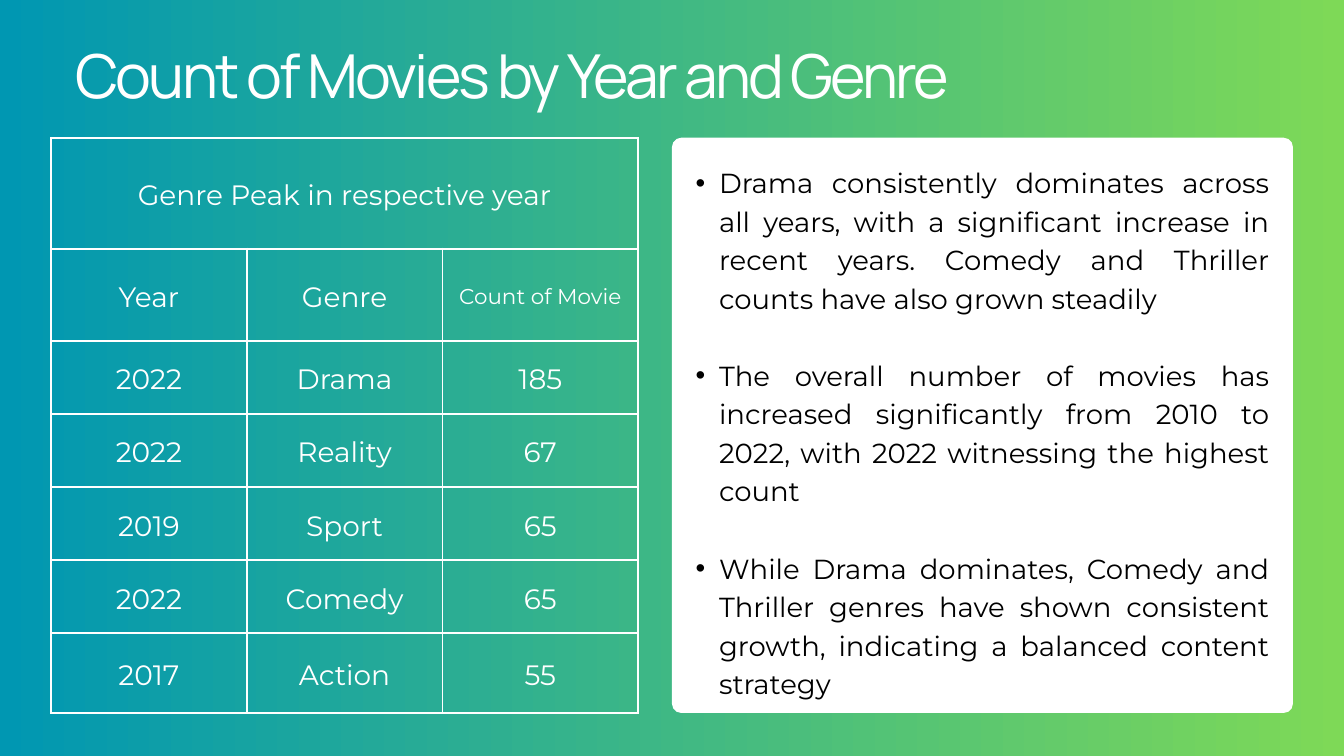
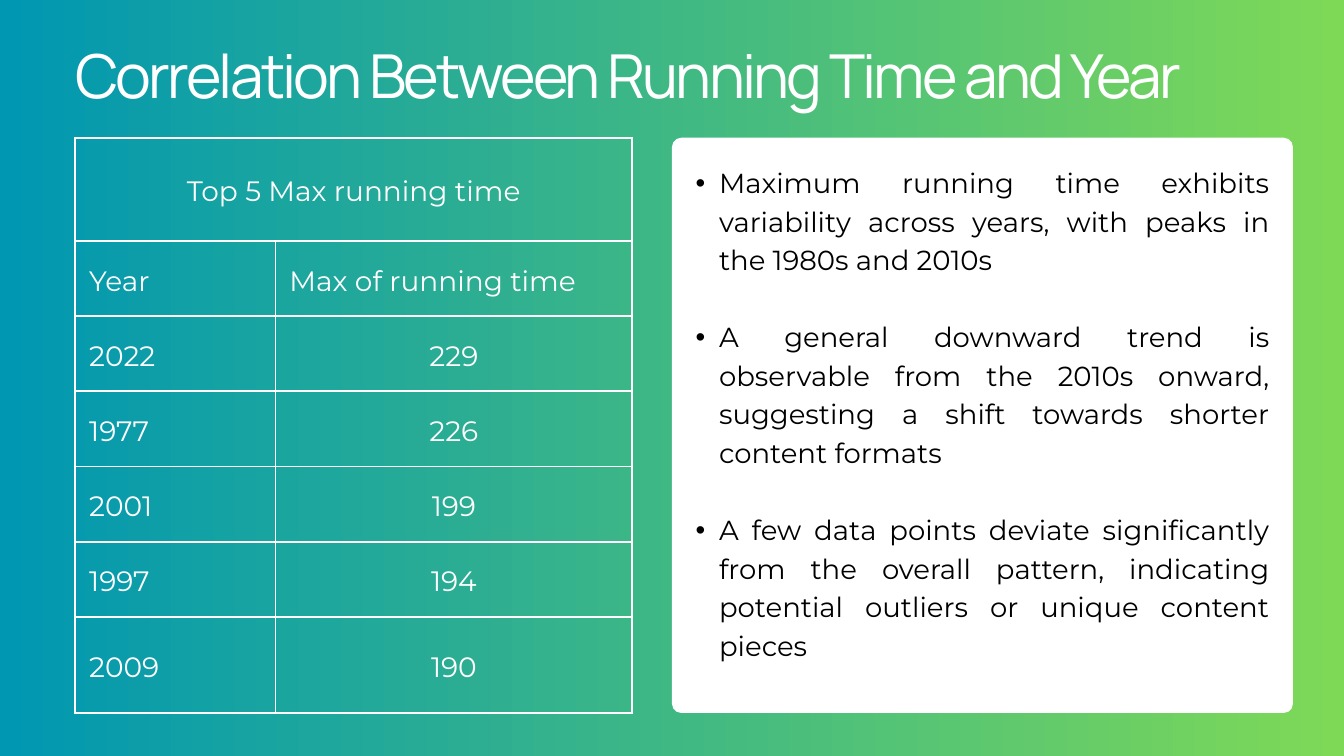
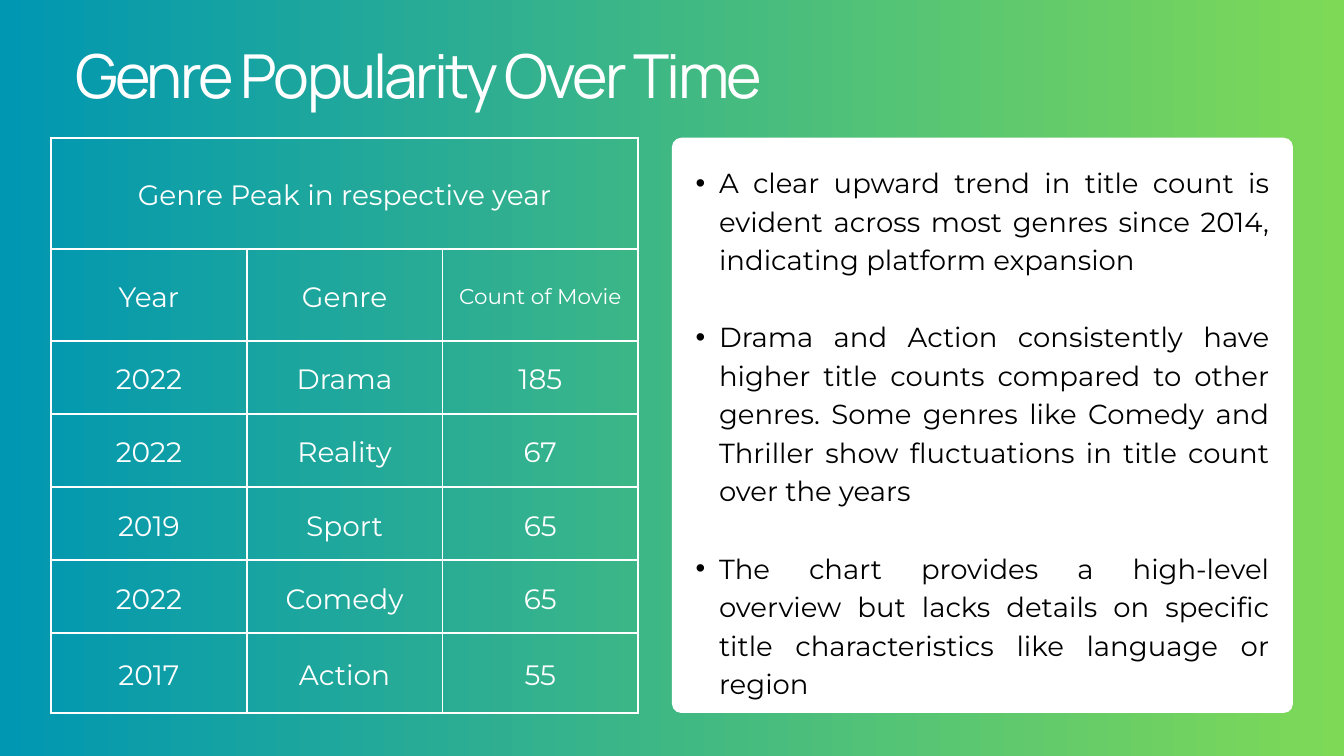
import pptx
import pptx.dml.color
import pptx.enum.shapes
import pptx.enum.text
import pptx.oxml
import pptx.util
from lxml import etree

Pt = pptx.util.Pt
ALIGN = pptx.enum.text.PP_ALIGN
ANCHOR = pptx.enum.text.MSO_ANCHOR

COLORS = {"blue": "0097B2", "green": "7ED957", "white": "FFFFFF", "black": "000000"}
HEAD_FONT, BODY_FONT = "Manrope", "Montserrat"
TOP, HEIGHT = 147.6, 616.3  # shared by the panel and the tables


def rgb(name):
    return pptx.dml.color.RGBColor.from_string(COLORS[name])


class Deck:
    """Holds the style and the current slide."""

    def __init__(self):
        self.prs = pptx.Presentation()
        self.prs.slide_width, self.prs.slide_height = Pt(1440), Pt(810)
        fill = self.prs.slide_master.background.fill
        fill.gradient()
        fill.gradient_angle = 0
        for stop, name in zip(fill.gradient_stops, ("blue", "green")):
            stop.color.rgb = rgb(name)

    def new_slide(self):
        self.s = self.prs.slides.add_slide(self.prs.slide_layouts[1])

    def format(self, p, size, color, font=BODY_FONT, align=ALIGN.LEFT, leading=1.4):
        p.alignment = align
        p.line_spacing = Pt(round(size * leading, 1))
        p.space_before = Pt(0)
        for r in p.runs:
            r.font.size, r.font.name, r.font.bold = Pt(size), font, False
            r.font.color.rgb = rgb(color)

    def place(self, sp, left, top, width, height):
        sp.left, sp.top, sp.width, sp.height = Pt(left), Pt(top), Pt(width), Pt(height)
        tf = sp.text_frame
        tf.margin_left = tf.margin_right = tf.margin_top = tf.margin_bottom = 0
        tf.word_wrap = True
        tf.auto_size = pptx.enum.text.MSO_AUTO_SIZE.NONE
        tf.vertical_anchor = ANCHOR.TOP
        return tf

    def title(self, text, width=1278):
        tf = self.place(self.s.shapes.title, 80.6, 60.5, width, 63.4)
        tf.text = text
        p = tf.paragraphs[0]
        self.format(p, 64.9, "white", HEAD_FONT, leading=0.9)
        p.runs[0].font._element.set("spc", "-300")

    def panel(self):
        sp = self.s.shapes.add_shape(
            pptx.enum.shapes.MSO_SHAPE.ROUNDED_RECTANGLE,
            Pt(720), Pt(TOP), Pt(665.3), Pt(HEIGHT))
        sp.adjustments[0] = 0.016
        sp.shadow.inherit = False
        sp.fill.solid()
        sp.fill.fore_color.rgb = rgb("white")
        sp.line.fill.background()
        self.s.shapes._spTree.insert(2, sp._element)  # behind the list

    def bullets(self, items, height=576):
        tf = self.place(self.s.placeholders[1], 720, 172, 640, height)
        tf.text = "\n".join(items)
        for p in tf.paragraphs:
            self.format(p, 29.5, "black", align=ALIGN.JUSTIFY)
            p.space_after = p.line_spacing
            pPr = p._p.get_or_add_pPr()
            pPr.set("marL", str(Pt(50.4)))
            pPr.set("indent", str(Pt(-25.2)))
            etree.SubElement(pPr, pptx.oxml.ns.qn("a:buChar")).set("char", "•")

    def cell_style(self, cell):
        cell.margin_left = cell.margin_right = Pt(15)
        cell.margin_top = cell.margin_bottom = Pt(15)
        cell.vertical_anchor = ANCHOR.MIDDLE
        tcPr = cell._tc.get_or_add_tcPr()
        for side in ("lnL", "lnR", "lnT", "lnB"):
            tcPr.append(pptx.oxml.parse_xml(
                f'<a:{side} {pptx.oxml.ns.nsdecls("a")} w="{Pt(2.25)}"><a:solidFill>'
                f'<a:srgbClr val="{COLORS["white"]}"/></a:solidFill></a:{side}>'))
        cell.fill.background()

    def table(self, left, widths, heights, rows, left_aligned=False, small=()):
        """The first row holds one caption across all columns."""
        table = self.s.shapes.add_table(
            len(rows), len(widths), Pt(left), Pt(TOP), Pt(sum(widths)), Pt(HEIGHT)).table
        table.first_row = table.horz_banding = False
        for col, width in zip(table.columns, widths):
            col.width = Pt(width)
        for row, height in zip(table.rows, heights):
            row.height = Pt(height)
        for cell in table.iter_cells():
            self.cell_style(cell)
        table.cell(0, 0).merge(table.cell(0, len(widths) - 1))
        for i, row in enumerate(rows):
            for j, text in enumerate(row):
                cell = table.cell(i, j)
                cell.text = text
                to_left = left_aligned and (i == 1 or (i > 1 and j == 0))
                self.format(cell.text_frame.paragraphs[0], 23 if text in small else 30,
                            "white", align=ALIGN.LEFT if to_left else ALIGN.CENTER)

    def genre_table(self):
        self.table(54.7, [209.7] * 3, [118.8, 98.6] + [78.4] * 4 + [85.6], [
            ["Genre Peak in respective year"],
            ["Year", "Genre", "Count of Movie"],
            ["2022", "Drama", "185"],
            ["2022", "Reality", "67"],
            ["2019", "Sport", "65"],
            ["2022", "Comedy", "65"],
            ["2017", "Action", "55"],
        ], small=("Count of Movie",))


def main():
    deck = Deck()

    # Count by year and genre
    deck.new_slide()
    deck.panel()
    deck.genre_table()
    deck.title("Count of Movies by Year and Genre", 1056)
    deck.bullets([
        "Drama consistently dominates across all years, with a significant increase in "
        "recent years. Comedy and Thriller counts have also grown steadily",
        "The overall number of movies has increased significantly from 2010 to 2022, "
        "with 2022 witnessing the highest count",
        "While Drama dominates, Comedy and Thriller genres have shown consistent growth, "
        "indicating a balanced content strategy",
    ])

    # Running time
    deck.new_slide()
    deck.panel()
    deck.table(80.6, [214.6, 382.3], [110.5] + [80.6] * 5 + [102.8], [
        ["Top 5 Max running time"],
        ["Year", "Max of running time"],
        ["2022", "229"],
        ["1977", "226"],
        ["2001", "199"],
        ["1997", "194"],
        ["2009", "190"],
    ], left_aligned=True)
    deck.title("Correlation Between Running Time and Year")
    deck.bullets([
        "Maximum running time exhibits variability across years, with peaks in the 1980s "
        "and 2010s",
        "A general downward trend is observable from the 2010s onward, suggesting a shift "
        "towards shorter content formats",
        "A few data points deviate significantly from the overall pattern, indicating "
        "potential outliers or unique content pieces",
    ], 535)

    # Genre popularity
    deck.new_slide()
    deck.panel()
    deck.genre_table()
    deck.title("Genre Popularity Over Time")
    deck.bullets([
        "A clear upward trend in title count is evident across most genres since 2014, "
        "indicating platform expansion",
        "Drama and Action consistently have higher title counts compared to other genres. "
        "Some genres like Comedy and Thriller show fluctuations in title count over the years",
        "The chart provides a high-level overview but lacks details on specific title "
        "characteristics like language or region",
    ])

    deck.prs.save("out.pptx")


if __name__ == "__main__":
    main()
